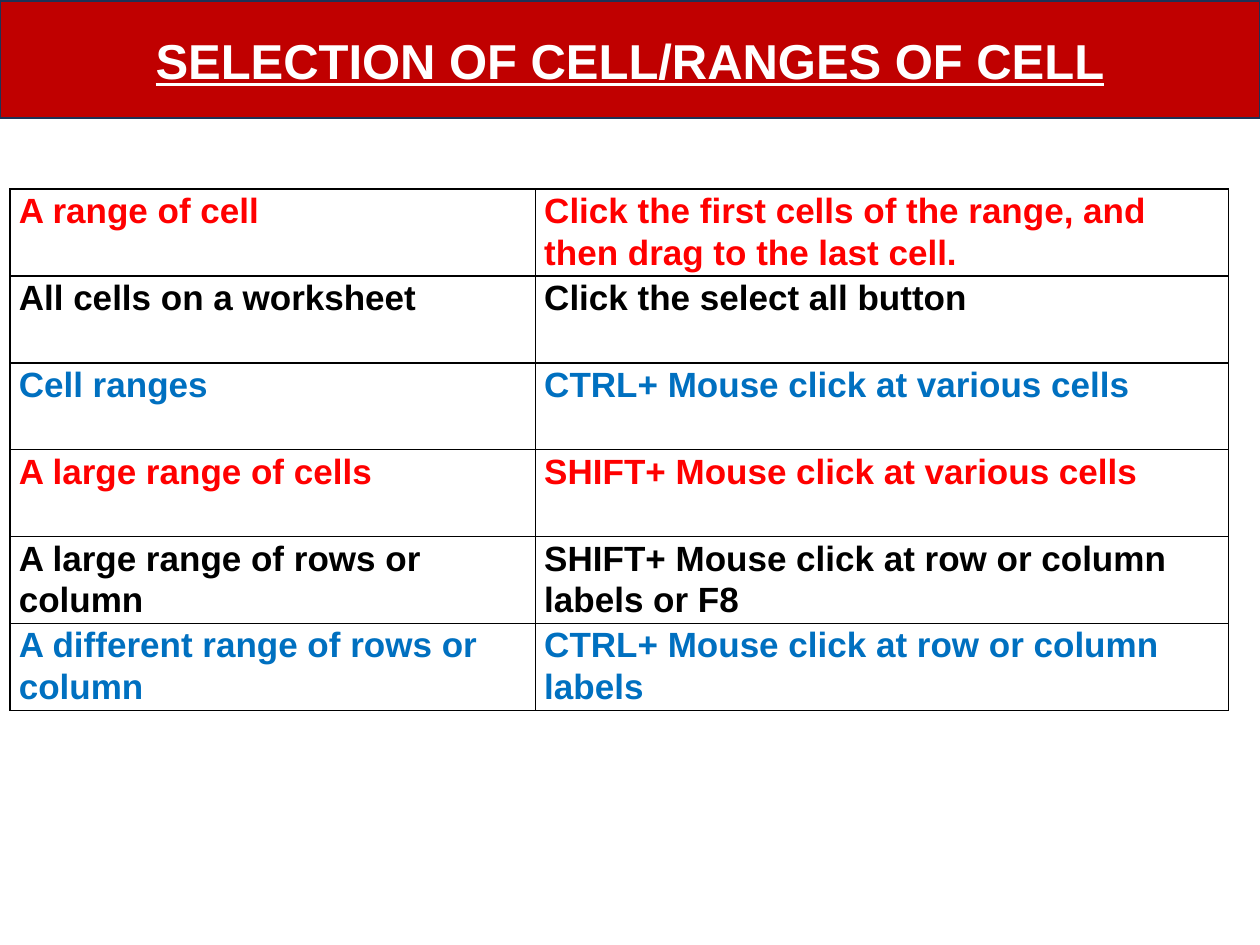
from itertools import cycle

from lxml import etree
from pptx import Presentation
from pptx.dml.color import RGBColor
from pptx.enum.text import MSO_ANCHOR, PP_ALIGN
from pptx.oxml.ns import qn
from pptx.util import Inches, Pt

COLORS = {
    "banner": "C00000",
    "banner_line": "1E3256",
    "white": "FFFFFF",
    "red": "FF0000",
    "black": "000000",
    "blue": "0070C0",
}
SELECTIONS = [
    ("A range of cell", "Click the first cells of the range, and then drag to the last cell."),
    ("All cells on a worksheet", "Click the select all button"),
    ("Cell ranges", "CTRL+ Mouse click at various cells"),
    ("A large range of cells", "SHIFT+ Mouse click at various cells"),
    ("A large range of rows or column", "SHIFT+ Mouse click at row or column labels or F8"),
    ("A different range of rows or column", "CTRL+ Mouse click at row or column labels"),
]
COLUMN_WIDTHS = (4.17, 5.5)
ROW_HEIGHT = 0.69


def add_run(paragraph, text, size, color):
    run = paragraph.add_run()
    run.text = text
    run.font.name = "Arial"
    run.font.size = Pt(size)
    run.font.bold = True
    run.font.color.rgb = RGBColor.from_string(COLORS[color])
    return run


def add_borders(cell):
    properties = cell._tc.get_or_add_tcPr()
    for side in ("a:lnL", "a:lnR", "a:lnT", "a:lnB"):
        line = etree.SubElement(properties, qn(side), w=str(Pt(1)))
        fill = etree.SubElement(line, qn("a:solidFill"))
        etree.SubElement(fill, qn("a:srgbClr"), val=COLORS["black"])


presentation = Presentation()
presentation.slide_width = Inches(10)
presentation.slide_height = Inches(7.5)
slide = presentation.slides.add_slide(presentation.slide_layouts[5])

# Title banner
title = slide.shapes.title
title.left, title.top = Inches(0), Inches(0.01)
title.width, title.height = Inches(10), Inches(0.93)
title.fill.solid()
title.fill.fore_color.rgb = RGBColor.from_string(COLORS["banner"])
title.line.color.rgb = RGBColor.from_string(COLORS["banner_line"])
title.line.width = Pt(1)
title.text_frame.vertical_anchor = MSO_ANCHOR.MIDDLE
title_paragraph = title.text_frame.paragraphs[0]
title_paragraph.alignment = PP_ALIGN.CENTER
title_run = add_run(title_paragraph, "SELECTION OF CELL/RANGES OF CELL", 28, "white")
title_run.font.underline = True

# Table of selection methods
table = slide.shapes.add_table(
    len(SELECTIONS), len(COLUMN_WIDTHS), Inches(0.08), Inches(1.5),
    Inches(sum(COLUMN_WIDTHS)), Inches(ROW_HEIGHT * len(SELECTIONS)),
).table
table.first_row = False
table.horz_banding = False
for column, width in zip(table.columns, COLUMN_WIDTHS):
    column.width = Inches(width)

# Rows cycle through three text colours
for row, texts, color in zip(table.rows, SELECTIONS, cycle(("red", "black", "blue"))):
    row.height = Inches(ROW_HEIGHT)
    for cell, text in zip(row.cells, texts):
        add_borders(cell)
        cell.fill.background()
        cell.margin_left = cell.margin_right = Inches(0.07)
        cell.margin_top = cell.margin_bottom = Inches(0)
        paragraph = cell.text_frame.paragraphs[0]
        paragraph.line_spacing = 1.07
        add_run(paragraph, text, 20, color)

presentation.save("out.pptx")
